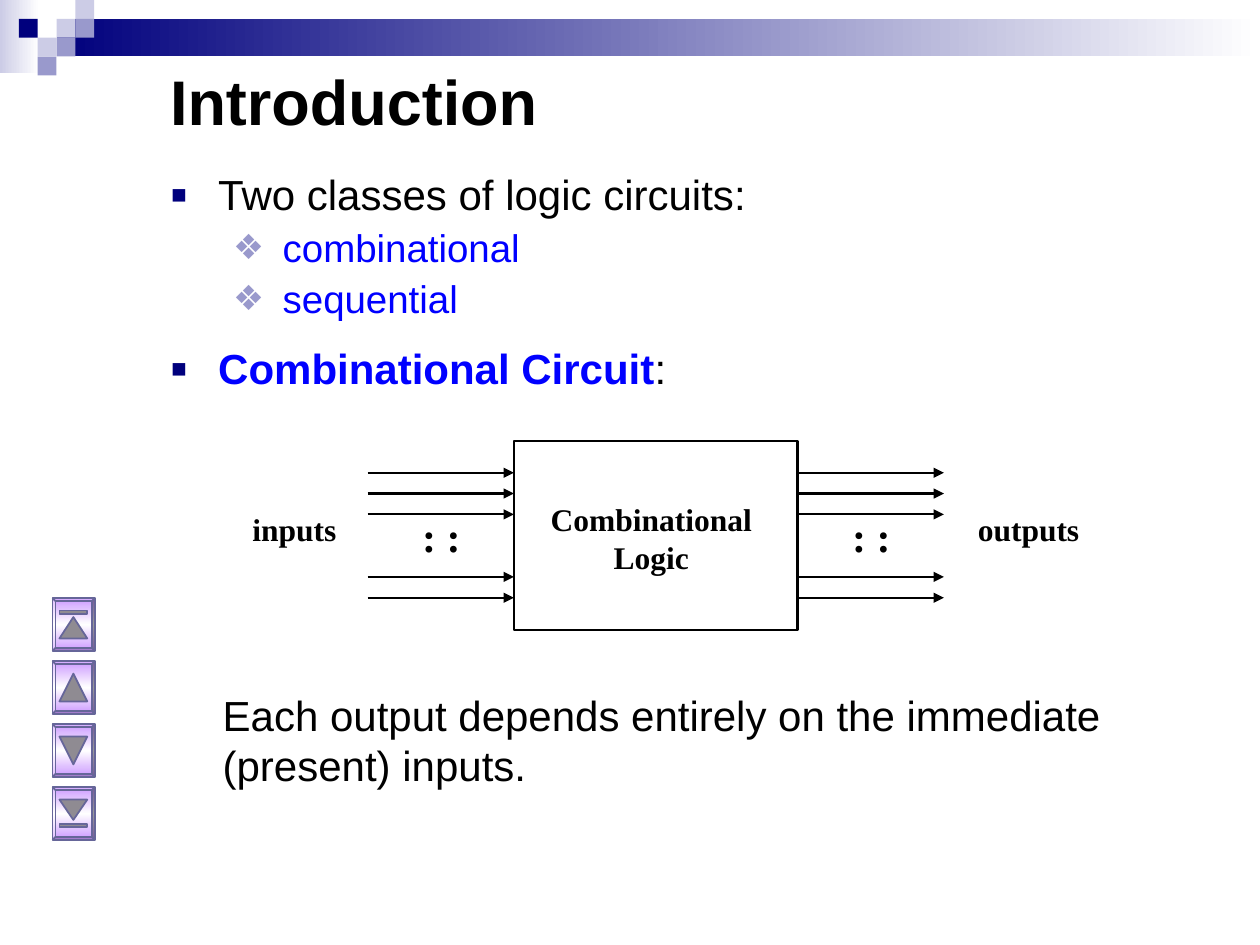
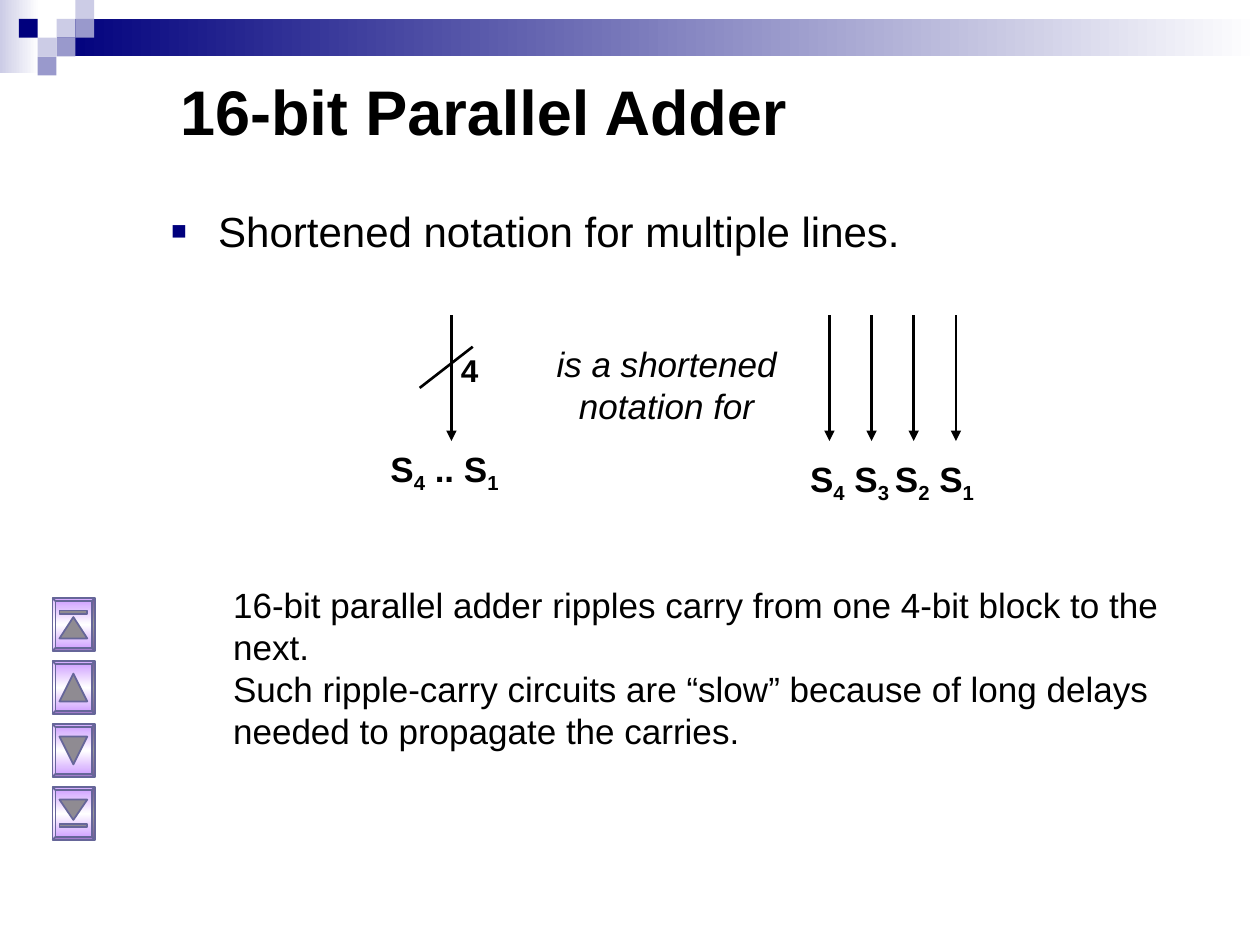
from dataclasses import dataclass, field
from typing import Any, NamedTuple

from lxml.etree import SubElement
from pptx import Presentation
from pptx.dml.color import RGBColor
from pptx.enum.shapes import MSO_CONNECTOR, MSO_SHAPE
from pptx.enum.text import MSO_ANCHOR, PP_ALIGN
from pptx.oxml.ns import qn
from pptx.util import Cm, Pt

BLACK, WHITE, BLUE = "000000", "FFFFFF", "0000FF"
NAVY, LAVENDER, PALE = "00007D", "9999CC", "CCCCE6"
LILAC, SLATE, GREY = "CC99FF", "666699", "8F8B92"
ARIAL, TIMES = "Arial", "Times New Roman"

TITLE = {"size": Pt(36), "bold": True}
BODY = {"size": Pt(24)}
SUBITEM = {"size": Pt(22)}
NOTE = {"size": Pt(20)}
PHRASE = {"size": Pt(20), "italic": True}
SIGNAL = {"size": Pt(20), "bold": True}
WIRES = {"size": Pt(18), "bold": True}
LABEL = {"size": Pt(18), "bold": True, "name": TIMES}
DOTS = {"size": Pt(24), "bold": True, "name": TIMES}


class Box(NamedTuple):
    """A place on the slide, in centimetres."""
    x: float
    y: float
    w: float
    h: float


class Bullet(NamedTuple):
    """A bullet sign with its indents in centimetres."""
    char: str
    color: str
    percent: int
    left: float
    hang: float


class Run(NamedTuple):
    """A stretch of text in one format."""
    text: str
    color: str = BLACK
    fmt: dict[str, Any] = {}
    sub: bool = False


@dataclass
class Para:
    """A paragraph made of runs."""
    runs: list[Run]
    fmt: dict[str, Any]
    bullet: Bullet | None = None
    para_fmt: dict[str, Any] = field(default_factory=dict)


class Square(NamedTuple):
    """A square of the corner mosaic, in grid steps."""
    col: int
    row: int
    color: str


class Button(NamedTuple):
    """A navigation button: arrow sign, its span, and an optional bar."""
    sign: MSO_SHAPE
    top: float
    height: float
    bar: float | None


SQUARE_BULLET = Bullet("▪", NAVY, 120, 0.97, 0.97)
DIAMOND_BULLET = Bullet("❖", LAVENDER, 90, 2.27, 1)
STEP = 0.38
MOSAIC = [Square(3, 1, PALE), Square(4, 0, PALE), Square(4, 1, LAVENDER),
          Square(2, 2, PALE), Square(1, 1, NAVY), Square(3, 2, LAVENDER),
          Square(2, 3, LAVENDER)]
UP, DOWN = MSO_SHAPE.ISOSCELES_TRIANGLE, MSO_SHAPE.FLOWCHART_MERGE
BUTTONS = [Button(UP, 0.38, 0.43, 0.25), Button(UP, 0.25, 0.56, None),
           Button(DOWN, 0.25, 0.56, None), Button(DOWN, 0.25, 0.41, 0.74)]


def rgb(color: str) -> RGBColor:
    """Turn a hex string into a colour."""
    return RGBColor.from_string(color)


def apply(target: Any, values: dict[str, Any]) -> None:
    """Set each named attribute on the target."""
    for name, value in values.items():
        setattr(target, name, value)


def add_shape(s: Any, kind: MSO_SHAPE, box: Box, fill: list[str],
              line: str | None = None, width: float = 1, angle: int = 0) -> Any:
    """Draw a preset shape with no fill, a plain fill or an even gradient."""
    sp = s.shapes.add_shape(kind, *map(Cm, box))
    sp.shadow.inherit = False
    if not fill:
        sp.fill.background()
    elif len(fill) == 1:
        sp.fill.solid()
        sp.fill.fore_color.rgb = rgb(fill[0])
    else:
        sp.fill.gradient()
        sp.fill.gradient_angle = angle
        stops = sp._element.spPr.find(qn("a:gradFill")).find(qn("a:gsLst"))
        stops.clear()
        for i, color in enumerate(fill):
            stop = SubElement(stops, qn("a:gs"), pos=str(100000 * i // (len(fill) - 1)))
            SubElement(stop, qn("a:srgbClr"), val=color)
    if line:
        sp.line.color.rgb = rgb(line)
        sp.line.width = Pt(width)
    else:
        sp.line.fill.background()
    return sp


def add_line(s: Any, x1: float, y1: float, x2: float, y2: float,
             width: float = 1.5, arrow: bool = True) -> None:
    """Draw a black line, with an arrowhead at its end if wanted."""
    cn = s.shapes.add_connector(MSO_CONNECTOR.STRAIGHT, *map(Cm, (x1, y1, x2, y2)))
    cn.line.color.rgb = rgb(BLACK)
    cn.line.width = Pt(width)
    if arrow:
        SubElement(cn.line._get_or_add_ln(), qn("a:tailEnd"), type="triangle")
    SubElement(cn._element.spPr, qn("a:effectLst"))


def add_bullet(p: Any, bullet: Bullet) -> None:
    """Give a paragraph its bullet and indents."""
    pPr = p._p.get_or_add_pPr()
    pPr.set("marL", str(Cm(bullet.left)))
    pPr.set("indent", str(-Cm(bullet.hang)))
    SubElement(SubElement(pPr, qn("a:buClr")), qn("a:srgbClr"), val=bullet.color)
    SubElement(pPr, qn("a:buSzPct"), val=str(bullet.percent * 1000))
    SubElement(pPr, qn("a:buFont"), typeface=ARIAL)
    SubElement(pPr, qn("a:buChar"), char=bullet.char)


def add_text(s: Any, box: Box, paras: list[Para],
             anchor: MSO_ANCHOR = MSO_ANCHOR.TOP) -> None:
    """Write paragraphs in a wrapping text box."""
    tf = s.shapes.add_textbox(*map(Cm, box)).text_frame
    apply(tf, {"word_wrap": True, "vertical_anchor": anchor})
    for i, para in enumerate(paras):
        p = tf.paragraphs[0] if i == 0 else tf.add_paragraph()
        apply(p, para.para_fmt)
        if para.bullet:
            add_bullet(p, para.bullet)
        for run in para.runs:
            r = p.add_run()
            r.text = run.text
            apply(r.font, {"name": ARIAL} | para.fmt | run.fmt)
            r.font.color.rgb = rgb(run.color)
            if run.sub:
                r._r.get_or_add_rPr().set("baseline", "-25000")


def add_label(s: Any, box: Box, fmt: dict[str, Any], *lines: str,
              align: PP_ALIGN = PP_ALIGN.LEFT) -> None:
    """Write plain lines in one format."""
    add_text(s, box, [Para([Run(line)], fmt, None, {"alignment": align}) for line in lines])


def add_signals(s: Any, box: Box, *parts: str) -> None:
    """Write signal names whose every second part is a subscript."""
    add_text(s, box, [Para([Run(t, sub=i % 2 == 1) for i, t in enumerate(parts)], SIGNAL)])


def add_button(s: Any, y: float, button: Button) -> None:
    """Draw one navigation button."""
    frame = add_shape(s, MSO_SHAPE.BEVEL, Box(1.06, y, 0.85, 1.06),
                      [LILAC, WHITE, LILAC], SLATE, angle=90)
    frame.adjustments[0] = 0.07
    add_shape(s, button.sign, Box(1.2, y + button.top, 0.56, button.height), [GREY], SLATE)
    if button.bar is not None:
        add_shape(s, MSO_SHAPE.RECTANGLE, Box(1.2, y + button.bar, 0.56, 0.07), [GREY], SLATE)


def new_slide(prs: Any, title: str, x: float, y: float) -> Any:
    """Add a slide with the band, mosaic, title and buttons."""
    s = prs.slides.add_slide(prs.slide_layouts[6])
    add_shape(s, MSO_SHAPE.RECTANGLE, Box(0, 0, 0.79, 1.47), [PALE, WHITE])
    add_shape(s, MSO_SHAPE.RECTANGLE, Box(3 * STEP, STEP, 24.26, 2 * STEP), [NAVY, WHITE])
    for sq in MOSAIC:
        add_shape(s, MSO_SHAPE.RECTANGLE,
                  Box(sq.col * STEP, sq.row * STEP, STEP, STEP), [sq.color])
    add_text(s, Box(x, y, 21.59, 3.18), [Para([Run(title)], TITLE)], MSO_ANCHOR.MIDDLE)
    for i, button in enumerate(BUTTONS):
        add_button(s, 12.06 + 1.27 * i, button)
    return s


def introduction(prs: Any) -> None:
    """Build the slide on the classes of logic circuits."""
    s = new_slide(prs, "Introduction", 3.18, 0.43)
    tight = {"line_spacing": 0.9}
    sub = tight | {"space_before": Pt(5.5)}
    add_text(s, Box(3.18, 3.38, 21.59, 4.88), [
        Para([Run("Two classes of logic circuits:")], BODY, SQUARE_BULLET, tight),
        *[Para([Run(name, BLUE)], SUBITEM, DIAMOND_BULLET, sub)
          for name in ("combinational", "sequential")],
        Para([Run("Combinational Circuit", BLUE, {"bold": True}), Run(":")],
             BODY, SQUARE_BULLET, tight | {"space_before": Pt(15)}),
    ])
    add_label(s, Box(4.24, 13.77, 19.05, 2.54), BODY,
              "Each output depends entirely on the immediate (present) inputs.")
    add_shape(s, MSO_SHAPE.RECTANGLE, Box(10.36, 8.89, 5.72, 3.81), [], BLACK, 1.5)
    add_label(s, Box(10.59, 9.96, 5.08, 1.78), LABEL, "Combinational", "Logic",
              align=PP_ALIGN.CENTER)
    for name, label_x, start in (("inputs", 4.45, 7.41), ("outputs", 19.25, 16.08)):
        for k in (0, 1, 2, 5, 6):
            y = 9.53 + 0.42 * k
            add_line(s, start, y, start + 2.95, y, 1.25)
        add_label(s, Box(start + 0.85, 10.16, 1.7, 1.27), DOTS, ": :")
        add_label(s, Box(label_x, 10.16, 2.97, 1.02), LABEL, name, align=PP_ALIGN.CENTER)


def parallel_adder(prs: Any) -> None:
    """Build the slide on the notation for multiple lines."""
    s = new_slide(prs, "16-bit Parallel Adder", 3.38, 0.64)
    add_text(s, Box(3.18, 4.01, 21.59, 1.47), [
        Para([Run("Shortened notation for multiple lines.")], BODY, SQUARE_BULLET)])
    add_label(s, Box(4.45, 11.63, 20.32, 3.61), NOTE,
              "16-bit parallel adder ripples carry from one 4-bit block to the next.",
              "Such ripple-carry circuits are “slow” because of long delays "
              "needed to propagate the carries.")
    for x in (9.1, *(16.72 + 0.85 * i for i in range(4))):
        add_line(s, x, 6.35, x, 8.89)
    add_line(s, 9.53, 6.99, 8.46, 7.82, arrow=False)
    add_label(s, Box(9.04, 6.96, 0.84, 1.02), WIRES, "4")
    add_signals(s, Box(7.62, 8.89, 3.18, 1.22), "S", "4", " .. S", "1")
    add_signals(s, Box(16.08, 9.09, 4.02, 1.22), "S", "4", " S", "3 ", "S", "2", " S", "1")
    add_label(s, Box(10.8, 6.78, 5.28, 1.96), PHRASE, "is a shortened notation for",
              align=PP_ALIGN.CENTER)


def main() -> None:
    """Build and save the presentation."""
    prs = Presentation()
    apply(prs, {"slide_width": Cm(25.4), "slide_height": Cm(19.05)})
    introduction(prs)
    parallel_adder(prs)
    prs.save("out.pptx")


if __name__ == "__main__":
    main()
